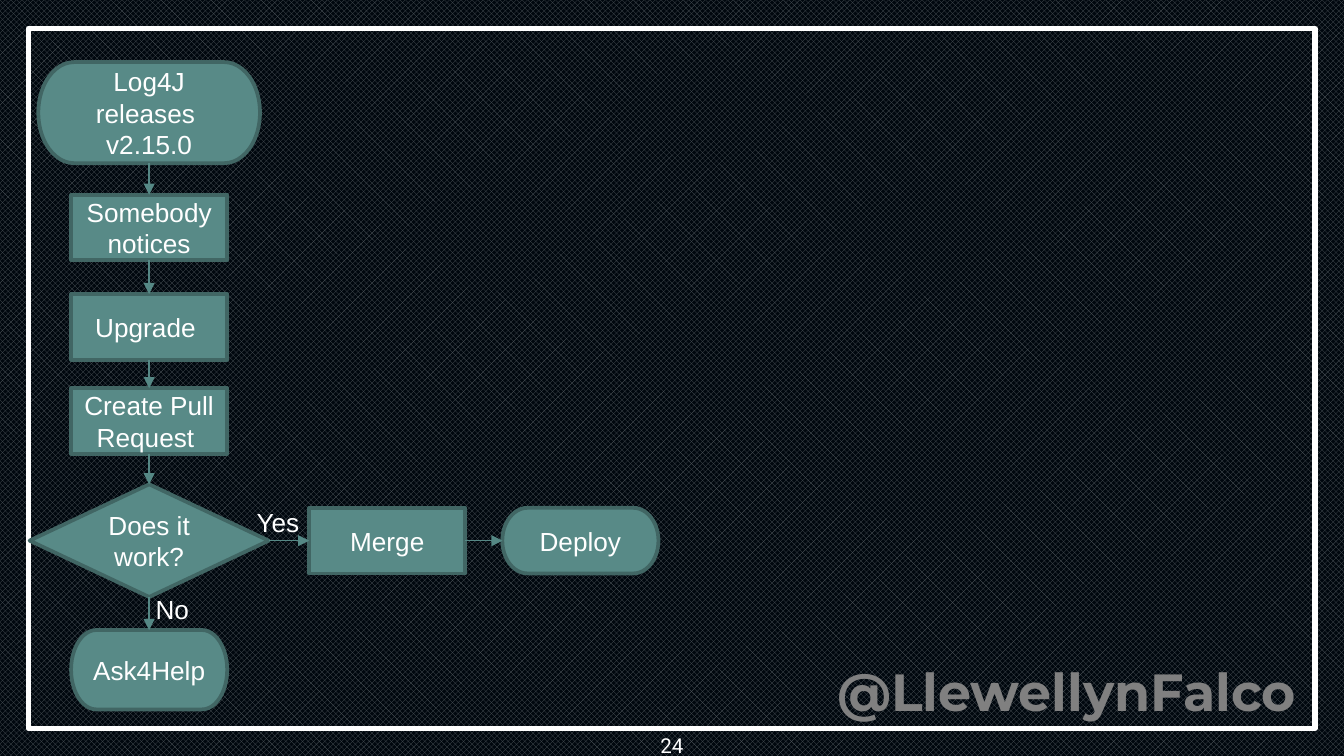
from lxml.etree import SubElement
from pptx import Presentation
from pptx.dml.color import RGBColor
from pptx.enum.dml import MSO_PATTERN
from pptx.enum.shapes import MSO_CONNECTOR, MSO_SHAPE as Shape
from pptx.enum.text import MSO_ANCHOR, MSO_AUTO_SIZE, PP_ALIGN
from pptx.oxml.ns import qn
from pptx.util import Cm, Pt

WHITE = RGBColor(0xFF, 0xFF, 0xFF)
BLACK = RGBColor(0x00, 0x00, 0x00)
GRAY = RGBColor(0x80, 0x80, 0x80)
NAVY = RGBColor(0x02, 0x15, 0x26)
TEAL = RGBColor(0x58, 0x8A, 0x87)
DARK_TEAL = RGBColor(0x41, 0x66, 0x64)
ARROW_TEAL = RGBColor(0x55, 0x88, 0x85)

TOP, LEFT, BOTTOM, RIGHT = range(4)
COLUMN_CENTER = 2.82
BRANCH_MIDDLE = 10.22
STEP_WIDTH, STEP_HEIGHT = 2.95, 1.24


def set_font(para, size=14, name="Arial", color=WHITE, bold=False):
    """Format a whole paragraph."""
    para.font.size = Pt(size)
    para.font.name = name
    para.font.color.rgb = color
    para.font.bold = bold


def add_backdrop(page):
    """Draw the patterned background, its dark veil and the white frame."""
    fill = page.background.fill
    fill.patterned()
    fill.pattern = MSO_PATTERN.TRELLIS
    fill.fore_color.rgb = GRAY
    fill.back_color.rgb = BLACK

    veil = page.shapes.add_shape(Shape.RECTANGLE, 0, 0, Cm(25.4), Cm(14.33))
    veil.shadow.inherit = False
    veil.fill.solid()
    veil.fill.fore_color.rgb = NAVY
    veil.line.fill.background()
    color = veil.fill._xPr.find(qn("a:solidFill"))[0]
    SubElement(color, qn("a:alpha"), val="38000")

    frame = page.shapes.add_shape(
        Shape.RECTANGLE, Cm(0.54), Cm(0.54), Cm(24.31), Cm(13.23))
    frame.shadow.inherit = False
    frame.fill.background()
    frame.line.color.rgb = WHITE
    frame.line.width = Pt(3)


def add_text(page, text, left, top, width, height, wrap=False, **font):
    """Add a one-line text box and return it."""
    box = page.shapes.add_textbox(Cm(left), Cm(top), Cm(width), Cm(height))
    frame = box.text_frame
    frame.word_wrap = wrap
    frame.auto_size = MSO_AUTO_SIZE.SHAPE_TO_FIT_TEXT
    frame.text = text
    set_font(frame.paragraphs[0], **font)
    return box


def add_page_number(page, number):
    """Add the centred page number under the frame."""
    box = add_text(page, number, 0, 13.61, 25.4, 0.58,
                   wrap=True, size=11, name="Roboto")
    frame = box.text_frame
    frame.auto_size = MSO_AUTO_SIZE.NONE
    frame.margin_top = frame.margin_bottom = Cm(0.25)
    frame.paragraphs[0].alignment = PP_ALIGN.CENTER


def add_node(page, kind, text, center, middle,
             width=STEP_WIDTH, height=STEP_HEIGHT):
    """Add a flowchart node around its centre point."""
    node = page.shapes.add_shape(
        kind, Cm(center - width / 2), Cm(middle - height / 2),
        Cm(width), Cm(height))
    node.shadow.inherit = False
    node.fill.solid()
    node.fill.fore_color.rgb = TEAL
    node.line.color.rgb = DARK_TEAL
    node.line.width = Pt(2)
    frame = node.text_frame
    frame.word_wrap = True
    frame.vertical_anchor = MSO_ANCHOR.MIDDLE
    frame.text = text
    for para in frame.paragraphs:
        para.alignment = PP_ALIGN.CENTER
        set_font(para)
    return node


def add_arrow(page, source, target, source_side=BOTTOM, target_side=TOP):
    """Join two nodes with an arrow."""
    arrow = page.shapes.add_connector(MSO_CONNECTOR.STRAIGHT, 0, 0, 0, 0)
    arrow.begin_connect(source, source_side)
    arrow.end_connect(target, target_side)
    arrow.line.color.rgb = ARROW_TEAL
    arrow.line.width = Pt(0.75)
    SubElement(arrow.line._get_or_add_ln(), qn("a:tailEnd"), type="triangle")
    SubElement(arrow._element.spPr, qn("a:effectLst"))


def add_flowchart(page):
    """Add the main column, the branch and their arrows."""
    terminator = Shape.FLOWCHART_TERMINATOR
    process = Shape.FLOWCHART_PROCESS
    column = [
        add_node(page, kind, text, COLUMN_CENTER, middle, *size)
        for kind, text, middle, *size in (
            (terminator, "Log4J releases \nv2.15.0", 2.13, 4.19, 1.91),
            (process, "Somebody notices", 4.3),
            (process, "Upgrade ", 6.18),
            (process, "Create Pull Request ", 7.96),
            (Shape.FLOWCHART_DECISION, "Does it work?",
             BRANCH_MIDDLE, 4.52, 2.13),
            (terminator, "Ask4Help", 12.66, STEP_WIDTH, 1.5),
        )
    ]
    for source, target in zip(column, column[1:]):
        add_arrow(page, source, target)

    decision = column[4]
    merge = add_node(page, process, "Merge", 7.32, BRANCH_MIDDLE)
    deploy = add_node(page, terminator, "Deploy", 10.97, BRANCH_MIDDLE)
    add_arrow(page, decision, merge, RIGHT, LEFT)
    add_arrow(page, merge, deploy, RIGHT, LEFT)
    add_text(page, "Yes", 4.6, 9.45, 1.37, 0.86)
    add_text(page, "No", 2.69, 11.1, 1.14, 0.86)


def main():
    """Build the deck."""
    deck = Presentation()
    deck.slide_width, deck.slide_height = Cm(25.4), Cm(14.29)
    page = deck.slides.add_slide(deck.slide_layouts[6])
    add_backdrop(page)
    add_text(page, "@LlewellynFalco", 15.57, 12.34, 10.03, 1.45,
             wrap=True, size=28, name="Montserrat", color=GRAY, bold=True)
    add_page_number(page, "24")
    add_flowchart(page)
    deck.save("out.pptx")


if __name__ == "__main__":
    main()
